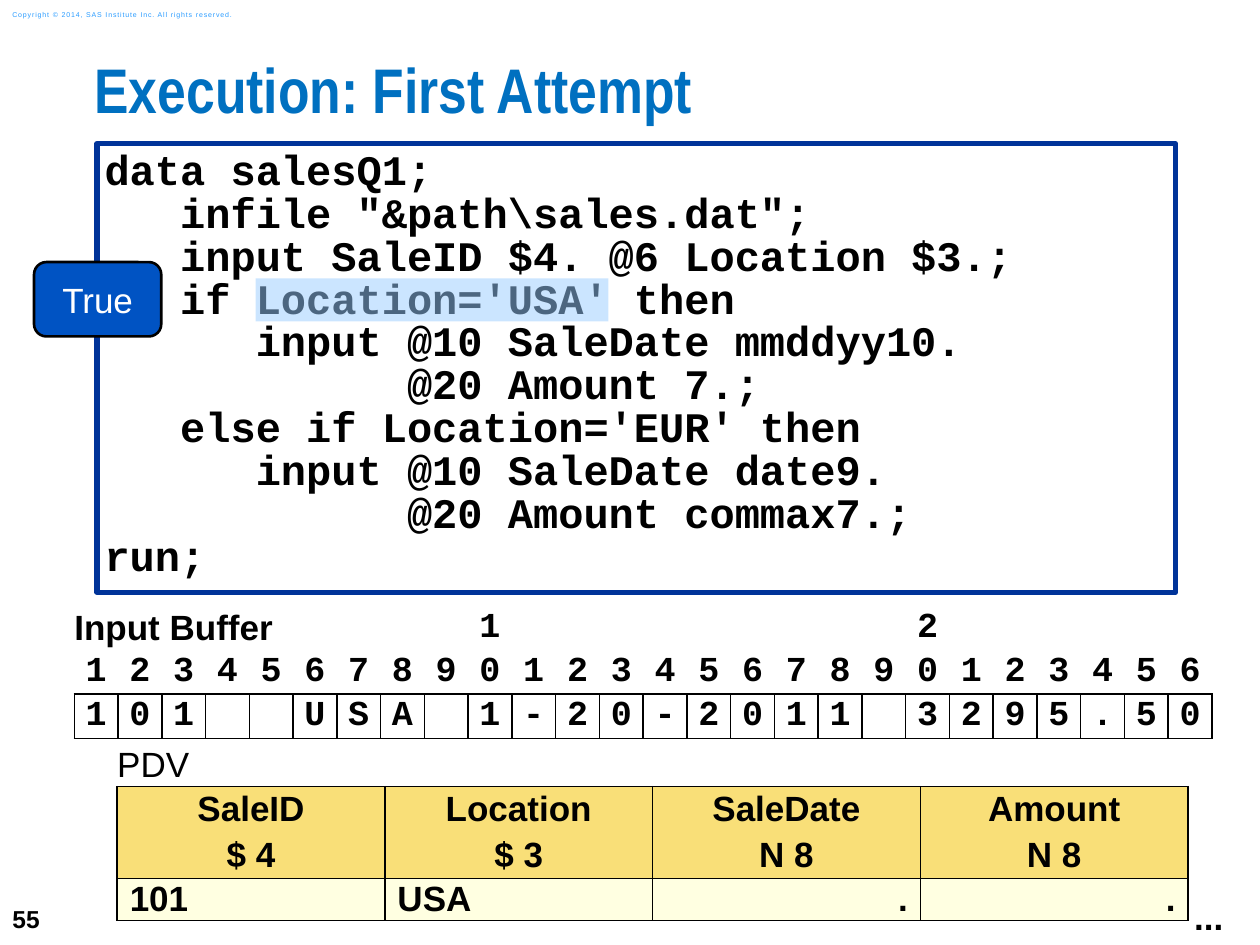
"""Builds the slide on the first execution of a data step, with input buffer and PDV."""
import lxml.etree
import pptx
import pptx.dml.color
import pptx.enum.shapes
import pptx.enum.text
import pptx.oxml
import pptx.oxml.ns
import pptx.util

COLORS = {
    "black": "000000", "white": "FFFFFF", "title": "0070C0", "copyright": "2A9CFF",
    "frame": "003399", "callout": "0053C3", "highlight": "99CCFF",
    "header": "F9DF78", "value": "FFFFE1",
}
RGB = {name: pptx.dml.color.RGBColor.from_string(value) for name, value in COLORS.items()}
ALIGN = pptx.enum.text.PP_ALIGN
ANCHOR = pptx.enum.text.MSO_ANCHOR
SHAPE = pptx.enum.shapes.MSO_SHAPE
NO_STYLE = "{2D5ABB26-0587-4C30-8999-92F81FD0307C}"


def write(frame, lines, size=20, font="Arial", color="black", bold=True,
          align=ALIGN.LEFT, spacing=None, gap=0):
    """Put one formatted paragraph per line into a text frame."""
    for index, line in enumerate(lines):
        paragraph = frame.paragraphs[0] if index == 0 else frame.add_paragraph()
        paragraph.text = line
        paragraph.alignment = align
        if spacing:
            paragraph.line_spacing = spacing
        if index and gap:
            paragraph.space_before = pptx.util.Pt(gap)
        paragraph.font.size = pptx.util.Pt(size)
        paragraph.font.name = font
        paragraph.font.bold = bold
        paragraph.font.color.rgb = RGB[color]


def format_cell(cell, side_margin=0, fill=None, border=False):
    """Set margins, a black border on all sides and the fill of a table cell."""
    cell.vertical_anchor = ANCHOR.MIDDLE
    cell.margin_left = cell.margin_right = pptx.util.Inches(side_margin)
    cell.margin_top = cell.margin_bottom = 0
    for side in "LRTB" if border else "":
        cell._tc.get_or_add_tcPr().append(pptx.oxml.parse_xml(
            f'<a:ln{side} {pptx.oxml.ns.nsdecls("a")} w="12700"><a:solidFill>'
            f'<a:srgbClr val="{COLORS["black"]}"/></a:solidFill></a:ln{side}>'))
    if fill:
        cell.fill.solid()
        cell.fill.fore_color.rgb = RGB[fill]
    else:
        cell.fill.background()


presentation = pptx.Presentation()
presentation.slide_width = pptx.util.Inches(10)
presentation.slide_height = pptx.util.Inches(7.5)
slide = presentation.slides.add_slide(presentation.slide_layouts[5])
shapes = slide.shapes

percents = {
    "number": (0, 94.4, 5.8, 5.6),
    "copyright": (0, 0.4, 21.1, 2.27),
    "title": (7.5, 6.67, 92.5, 9.87),
    "code": (7.7, 15.2, 85.6, 47.47),
    "buffer": (5.9, 64.13, 90.3, 14),
    "vector": (9.3, 78.8, 85, 18.6),
    "callout": (2.7, 27.73, 10.1, 7.87),
    "dots": (93.8, 94.13, 4.3, 5.87),
    "highlight": (20.3, 29.47, 28, 4.53),
}
places = {
    name: [int(share * length / 100) for share, length in
           zip(shares, (presentation.slide_width, presentation.slide_height) * 2)]
    for name, shares in percents.items()
}

title = shapes.title
title.left, title.top, title.width, title.height = places["title"]
frame = title.text_frame
frame.margin_left = frame.margin_right = frame.margin_top = frame.margin_bottom = 0
frame.vertical_anchor = ANCHOR.TOP
frame.auto_size = pptx.enum.text.MSO_AUTO_SIZE.NONE
write(frame, ["Execution: First Attempt"], 36, "Arial Narrow", "title", spacing=0.83)

for name, text, size, color, bold, anchor in (
    ("number", "55", 14, "black", True, ANCHOR.MIDDLE),
    ("copyright", "Copyright © 2014, SAS Institute Inc. All rights reserved.",
     4, "copyright", False, ANCHOR.MIDDLE),
    ("dots", "...", 20, "black", True, ANCHOR.TOP),
):
    frame = shapes.add_textbox(*places[name]).text_frame
    frame.word_wrap = name == "copyright"
    frame.vertical_anchor = anchor
    write(frame, [text], size, color=color, bold=bold)
    if name == "copyright":
        frame.paragraphs[0].runs[0]._r.get_or_add_rPr().set("spc", "50")

code = """data salesQ1;
   infile "&path\\sales.dat";
   input SaleID $4. @6 Location $3.;
   if Location='USA' then
      input @10 SaleDate mmddyy10.
            @20 Amount 7.;
   else if Location='EUR' then
      input @10 SaleDate date9.
            @20 Amount commax7.;
run;""".split("\n")
for name, kind, fill, line, line_width, margin in (
    ("code", SHAPE.RECTANGLE, "white", "frame", 3, 0.06),
    ("callout", SHAPE.ROUNDED_RECTANGLE, "callout", "black", 1.5, 0.1),
    ("highlight", SHAPE.RECTANGLE, "highlight", None, 0, 0),
):
    shape = shapes.add_shape(kind, *places[name])
    shape.shadow.inherit = False
    shape.fill.solid()
    shape.fill.fore_color.rgb = RGB[fill]
    if line:
        shape.line.color.rgb = RGB[line]
        shape.line.width = pptx.util.Pt(line_width)
    else:
        shape.line.fill.background()
    frame = shape.text_frame
    frame.margin_left = frame.margin_right = pptx.util.Inches(margin)
    frame.margin_top = frame.margin_bottom = pptx.util.Inches(margin)
    if name == "code":
        frame.vertical_anchor = ANCHOR.TOP
        write(frame, code, 24, "Courier New", spacing=0.85)
    elif name == "callout":
        frame.vertical_anchor = ANCHOR.MIDDLE
        write(frame, ["True"], color="white", bold=False, align=ALIGN.CENTER)
    else:
        tint = shape._element.spPr.find(".//" + pptx.oxml.ns.qn("a:srgbClr"))
        lxml.etree.SubElement(tint, pptx.oxml.ns.qn("a:alpha")).set("val", "50000")

record = "101  USA 1-20-2011 3295.50"
columns = range(1, len(record) + 1)
tens = [str(column // 10) if column % 10 == 0 else " " for column in columns]
units = [str(column % 10) for column in columns]
buffer = shapes.add_table(3, len(record), *places["buffer"]).table
vector = shapes.add_table(3, 4, *places["vector"]).table
for table in (buffer, vector):
    table.first_row = table.horz_banding = False
    table._tbl.tblPr.find(pptx.oxml.ns.qn("a:tableStyleId")).text = NO_STYLE

for row, characters in enumerate((tens, units, record)):
    for column, character in enumerate(characters):
        cell = buffer.cell(row, column)
        format_cell(cell, border=row == 2)
        if character != " ":
            write(cell.text_frame, [character], font="Courier New", align=ALIGN.CENTER)
buffer.cell(0, 0).merge(buffer.cell(0, 8))
write(buffer.cell(0, 0).text_frame, ["Input Buffer"])

for row, height in zip(vector.rows, (0.33, 0.73, 0.33)):
    row.height = pptx.util.Inches(height)
vector.cell(0, 0).merge(vector.cell(0, 3))
format_cell(vector.cell(0, 0), fill="white")
write(vector.cell(0, 0).text_frame, ["PDV"], bold=False)
for column, (variable, kind, value, align) in enumerate((
    ("SaleID", "$ 4", "101", ALIGN.LEFT),
    ("Location", "$ 3", "USA", ALIGN.LEFT),
    ("SaleDate", "N 8", ".", ALIGN.RIGHT),
    ("Amount", "N 8", ".", ALIGN.RIGHT),
)):
    header, content = vector.cell(1, column), vector.cell(2, column)
    format_cell(header, 0.1, "header", True)
    format_cell(content, 0.1, "value", True)
    write(header.text_frame, [variable, kind], align=ALIGN.CENTER, gap=4)
    write(content.text_frame, [value], align=align)

presentation.save("out.pptx")
